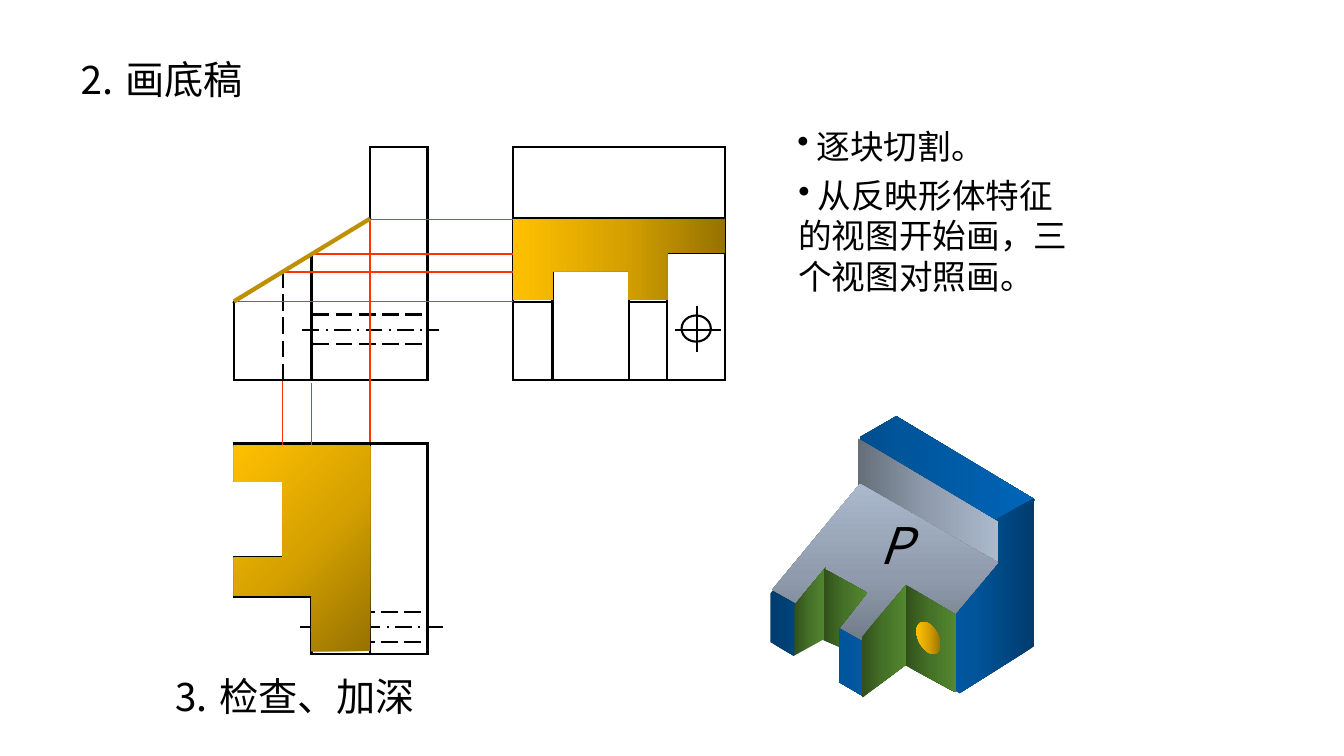
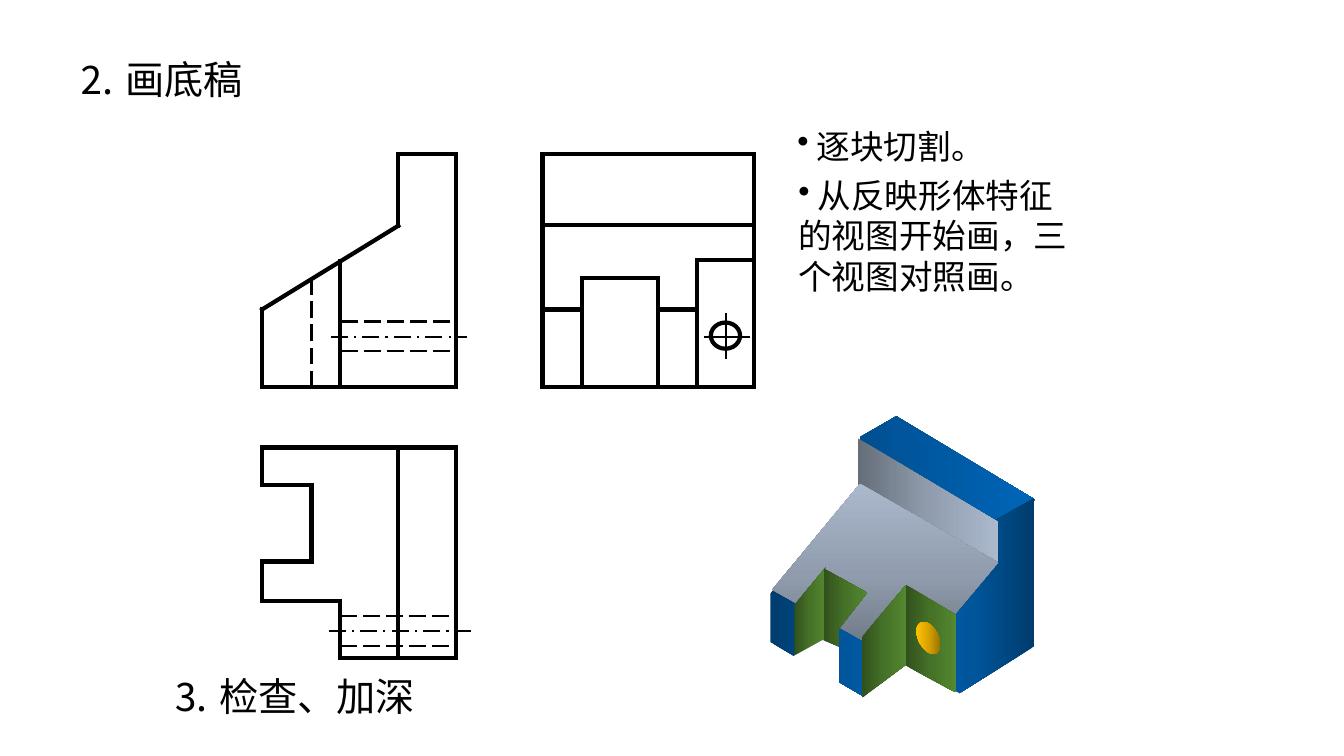
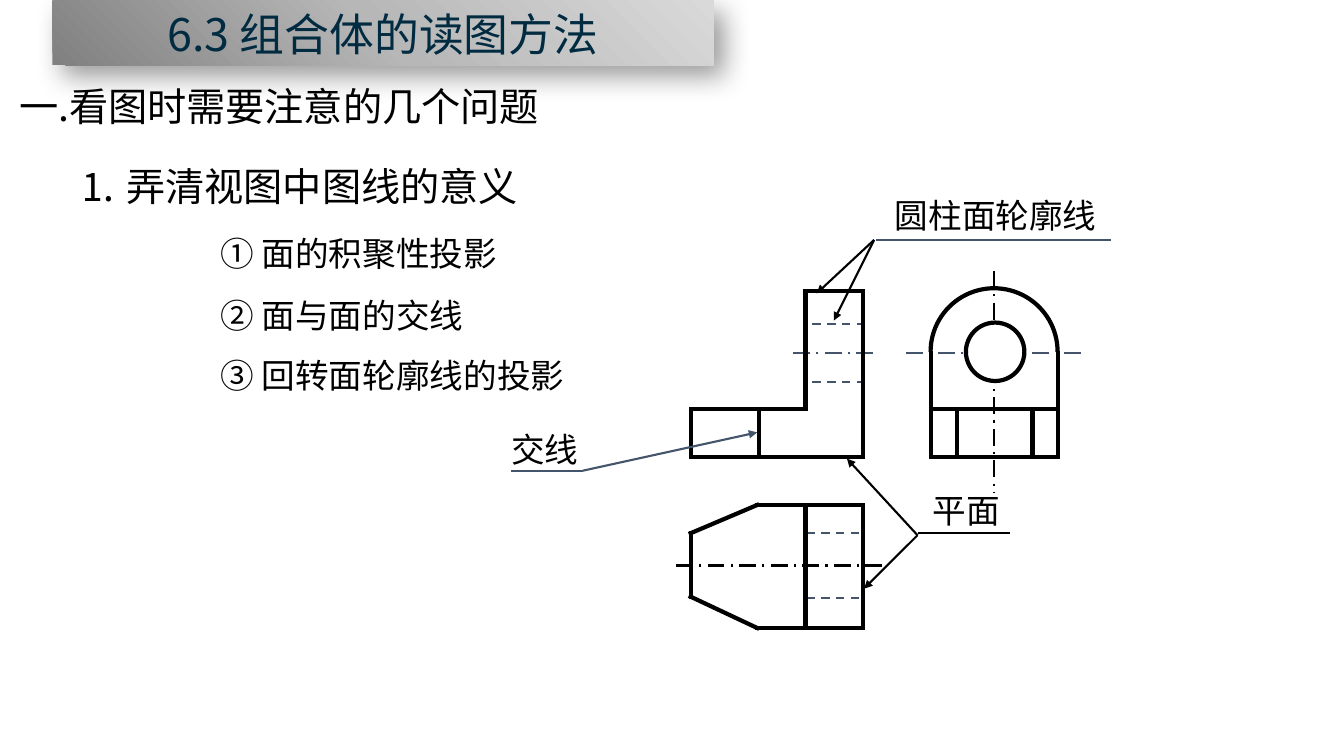
from copy import deepcopy
from itertools import pairwise
from math import cos, pi, sin

from lxml import etree
from pptx import Presentation
from pptx.dml.color import RGBColor
from pptx.enum.dml import MSO_LINE
from pptx.enum.shapes import MSO_CONNECTOR, MSO_SHAPE
from pptx.enum.text import MSO_ANCHOR, PP_ALIGN
from pptx.oxml.ns import qn
from pptx.util import Inches, Pt

STRAIGHT = MSO_CONNECTOR.STRAIGHT
RECTANGLE, OVAL, ARC = MSO_SHAPE.RECTANGLE, MSO_SHAPE.OVAL, MSO_SHAPE.ARC
DASH, LONG_DASH, DASH_DOT = MSO_LINE.DASH, MSO_LINE.LONG_DASH, MSO_LINE.LONG_DASH_DOT
TOP, MIDDLE = MSO_ANCHOR.TOP, MSO_ANCHOR.MIDDLE
LEFT, CENTER = PP_ALIGN.LEFT, PP_ALIGN.CENTER

FONT = "Noto Sans CJK SC"
BLACK = RGBColor(0x00, 0x00, 0x00)
WHITE = RGBColor(0xFF, 0xFF, 0xFF)
NAVY = RGBColor(0x00, 0x2B, 0x41)
SLATE = RGBColor(0x44, 0x54, 0x6A)
RED = RGBColor(0xFF, 0x33, 0x00)
OCHRE = RGBColor(0xBF, 0x90, 0x00)
BLUES = (RGBColor(0x00, 0x3C, 0x6D), RGBColor(0x00, 0x55, 0x9B), RGBColor(0x00, 0x65, 0xB8))
STEELS = (RGBColor(0x65, 0x6E, 0x79), RGBColor(0x90, 0x9C, 0xAD), RGBColor(0xAB, 0xB9, 0xCD))
GREENS = (RGBColor(0x31, 0x50, 0x1C), RGBColor(0x46, 0x72, 0x28), RGBColor(0x53, 0x87, 0x30))
GOLDS = (RGBColor(0x97, 0x72, 0x00), RGBColor(0xD7, 0xA2, 0x00), RGBColor(0xFF, 0xC0, 0x00))
GREYS = (RGBColor(0x80, 0x80, 0x80), RGBColor(0xB7, 0xB7, 0xB7), RGBColor(0xD9, 0xD9, 0xD9))

THIN, FINE, BOLD = 1, 1.5, 3


def fill_gradient(shape, colors, angle):
    shape.fill.gradient()
    shape.fill.gradient_angle = (360 - angle) % 360
    stop_list = shape.element.spPr.find(".//" + qn("a:gsLst"))
    stop_list.insert(1, deepcopy(stop_list[0]))
    for stop, color, position in zip(shape.fill.gradient_stops, colors, (0, 0.5, 1)):
        stop.color.rgb = color
        stop.position = position


def write(frame, text, size=24, color=BLACK, anchor=TOP, align=LEFT, italic=False,
          bullet=None, wrap=True, leading=None):
    frame.word_wrap = wrap
    frame.vertical_anchor = anchor
    paragraph = frame.paragraphs[0]
    paragraph.alignment = align
    if leading:
        paragraph.line_spacing = Pt(leading)
    if bullet:
        properties = paragraph._p.get_or_add_pPr()
        etree.SubElement(properties, qn("a:buChar")).set("char", bullet)
    run = paragraph.add_run()
    run.text = text
    run.font.name = FONT
    run.font.size = Pt(size)
    run.font.italic = italic
    run.font.color.rgb = color
    etree.SubElement(run._r.get_or_add_rPr(), qn("a:ea")).set("typeface", FONT)


def label(slide, text, left, top, width, height, **style):
    box = slide.shapes.add_textbox(Inches(left), Inches(top), Inches(width), Inches(height))
    write(box.text_frame, text, **style)


def stroke(slide, origin, start, end, color=BLACK, weight=FINE, dash=None,
           arrow=False, cap="flat"):
    x, y = origin
    line = slide.shapes.add_connector(
        STRAIGHT, Inches(x + start[0]), Inches(y + start[1]),
        Inches(x + end[0]), Inches(y + end[1]))
    line.line.color.rgb = color
    line.line.width = Pt(weight)
    if dash:
        line.line.dash_style = dash
    properties = line.element.spPr
    outline = properties.find(qn("a:ln"))
    outline.set("cap", cap)
    if arrow:
        etree.SubElement(outline, qn("a:tailEnd")).set("type", "triangle")
    etree.SubElement(properties, qn("a:effectLst"))


def trace(slide, origin, points, weight):
    for start, end in pairwise(points):
        stroke(slide, origin, start, end, weight=weight, cap="sq")


def face(slide, origin, points, colors=None, angle=0):
    x, y = origin
    corners = [(Inches(x + dx), Inches(y + dy)) for dx, dy in points]
    builder = slide.shapes.build_freeform(*corners[0])
    builder.add_line_segments(corners[1:], close=True)
    shape = builder.convert_to_shape()
    shape.shadow.inherit = False
    shape.line.fill.background()
    if colors:
        fill_gradient(shape, colors, angle)
    else:
        shape.fill.solid()
        shape.fill.fore_color.rgb = WHITE


def curve(slide, kind, left, top, width, height, weight, color=None):
    shape = slide.shapes.add_shape(
        kind, Inches(left), Inches(top), Inches(width), Inches(height))
    shape.shadow.inherit = False
    shape.line.color.rgb = BLACK
    shape.line.width = Pt(weight)
    if color:
        shape.fill.solid()
        shape.fill.fore_color.rgb = color
    else:
        shape.fill.background()
    return shape


def block_front_view(slide, origin, weight):
    stroke(slide, origin, (0.68, 1.81), (2.03, 1.81), dash=DASH_DOT)
    stroke(slide, origin, (0.49, 1.23), (0.49, 2.32), dash=LONG_DASH)
    for y in (1.66, 1.95):
        stroke(slide, origin, (0.78, y), (1.91, y), dash=LONG_DASH)
    trace(slide, origin, [(1.35, 0), (1.92, 0), (1.92, 2.31), (0, 2.31), (0, 1.54),
                          (1.35, 0.71), (1.35, 0)], weight)
    trace(slide, origin, [(0.77, 1.06), (0.77, 2.31)], weight)


def block_side_view(slide, origin, weight):
    left, top = origin
    trace(slide, origin, [(0, 0), (2.1, 0), (2.1, 2.31), (0, 2.31), (0, 0)], weight)
    trace(slide, origin, [(0, 0.7), (2.1, 0.7)], weight)
    trace(slide, origin, [(0.39, 2.31), (0.39, 1.23), (1.15, 1.23), (1.15, 2.31)], weight)
    trace(slide, origin, [(1.53, 2.31), (1.53, 1.05), (2.1, 1.05)], weight)
    for x, end in ((0, 0.39), (1.15, 1.53)):
        trace(slide, origin, [(x, 1.54), (end, 1.54)], weight)
    stroke(slide, origin, (1.82, 1.58), (1.82, 2.03))
    stroke(slide, origin, (1.6, 1.81), (2.06, 1.81))
    curve(slide, OVAL, left + 1.67, top + 1.67, 0.29, 0.26, weight)


def block_top_view(slide, origin, weight):
    stroke(slide, origin, (0.66, 1.82), (2.07, 1.82), dash=DASH_DOT)
    for y in (1.67, 1.97):
        stroke(slide, origin, (0.77, y), (1.92, y), dash=LONG_DASH)
    trace(slide, origin, [(0, 0), (1.92, 0), (1.92, 2.09), (0.77, 2.09), (0.77, 1.52),
                          (0, 1.52), (0, 1.13), (0.49, 1.13), (0.49, 0.37), (0, 0.37),
                          (0, 0)], weight)
    trace(slide, origin, [(1.35, 0), (1.35, 2.09)], weight)


def projection_lines(slide, origin):
    for start, end in (
            ((1.35, 0.72), (2.83, 0.72)), ((0, 1.53), (2.77, 1.53)),
            ((1.35, 0.72), (1.35, 2.93)), ((0.48, 2.32), (0.48, 3.3)),
            ((0.48, 1.24), (3.16, 1.24)), ((0.77, 2.34), (0.77, 4.46)),
            ((0.77, 1.06), (4.3, 1.06))):
        stroke(slide, origin, start, end, color=RED, weight=THIN)


def cut_plane(slide, front, side, top):
    face(slide, top, [(0, 0.02), (1.35, 0.02), (1.35, 2.06), (0.77, 2.06), (0.77, 1.51),
                      (0, 1.51), (0, 1.13), (0.48, 1.13), (0.48, 0.38), (0, 0.38)], GOLDS, 225)
    stroke(slide, front, (0, 1.53), (1.35, 0.71), color=OCHRE, weight=BOLD)
    face(slide, side, [(0, 0.71), (2.1, 0.71), (2.1, 1.05), (1.53, 1.05), (1.53, 1.52),
                       (1.14, 1.52), (1.14, 1.23), (0.39, 1.23), (0.39, 1.52), (0, 1.52)],
         GOLDS, 180)


def solid_block(slide, origin):
    hole = []
    for step in range(32):
        turn = step * pi / 16
        hole.append((1.57 - 0.12 * cos(turn), 2.2 - 0.16 * sin(turn + 0.43)))
    for points, colors, angle in (
            ([(1.25, 0), (0, 0.72), (1.39, 1.53), (2.63, 0.83)], BLUES, 0),
            ([(2.62, 0.81), (2.62, 2.28), (1.39, 3.05), (1.39, 1.51)], BLUES, 180),
            ([(0, 0.71), (0, 2.24), (1.39, 3.05), (1.39, 1.53)], BLUES, 0),
            ([(0.89, 0.19), (0.87, 0.7), (-0.02, 1.78), (-0.19, 0.58), (-0.13, 0.35)], None, 0),
            ([(0.87, 0.22), (0.87, 0.68), (2.26, 1.47), (2.26, 1.05)], STEELS, 0),
            ([(0.89, 0.67), (2.26, 1.45), (1.39, 2.49), (0.02, 1.72)], STEELS, 270),
            ([(1.31, 2.45), (2.03, 2.83), (1.27, 3.17), (0.83, 2.87)], None, 0),
            ([(1.34, 1.67), (1.84, 1.97), (1.84, 2.74), (1.34, 2.47)], GREENS, 0),
            ([(0.91, 2.19), (0.91, 2.79), (1.35, 2.46), (1.35, 1.67)], GREENS, 0),
            (hole, GOLDS, 180),
            ([(0.24, 1.87), (0.55, 1.5), (0.55, 2.21), (0.24, 2.39)], GREENS, 0),
            ([(0.52, 2.22), (0.14, 2.43), (0.68, 2.69), (0.68, 2.29)], None, 0),
            ([(0.53, 1.51), (0.96, 1.75), (0.68, 2.11), (0.68, 2.28), (0.53, 2.22)],
             GREENS, 0)):
        face(slide, origin, points, colors, angle)


def drafting_slide(slide, front, side, top, weight, show_cut=False):
    block_front_view(slide, front, weight)
    block_side_view(slide, side, weight)
    block_top_view(slide, top, weight)
    solid_block(slide, (7.64, 4.13))
    if show_cut:
        projection_lines(slide, front)
        cut_plane(slide, front, side, top)
        label(slide, "P", 8.62, 5.05, 0.45, 0.7, size=36, italic=True)
    label(slide, "⒉ 画底稿", 0.67, 0.5, 2.6, 0.57, size=28)
    label(slide, "⒊ 检查、加深", 1.6, 6.62, 3.56, 0.57, size=28)
    label(slide, " 逐块切割。", 7.81, 1.19, 2.87, 0.51,
          anchor=MIDDLE, bullet="•", leading=28.8)
    label(slide, " 从反映形体特征的视图开始画，三个视图对照画。", 7.82, 1.68, 2.87, 1.31,
          anchor=MIDDLE, bullet="•", leading=28.8)


def banner(slide, text, left, top, width, height):
    band = slide.shapes.add_shape(
        RECTANGLE, Inches(left), Inches(top), Inches(width), Inches(height))
    band.shadow.inherit = False
    band.line.fill.background()
    fill_gradient(band, GREYS, 315)
    effects = band.element.spPr.find(qn("a:effectLst"))
    shadow = etree.SubElement(effects, qn("a:outerShdw"), blurRad=str(Pt(20)),
                              dist=str(Pt(10)), dir="2700000", algn="tl", rotWithShape="0")
    shade = etree.SubElement(shadow, qn("a:srgbClr"), val="000000")
    etree.SubElement(shade, qn("a:alpha"), val="40000")
    write(band.text_frame, text, size=32, color=NAVY, anchor=MIDDLE, align=CENTER)


def bracket_front_view(slide, origin):
    stroke(slide, origin, (1.81, 0.61), (0.98, 0.61), color=SLATE, dash=DASH_DOT)
    for y in (0.32, 0.9):
        stroke(slide, origin, (1.73, y), (1.14, y), color=SLATE, dash=DASH)
    trace(slide, origin, [(0, 1.17), (1.14, 1.17), (1.14, 0), (1.71, 0), (1.71, 1.64),
                          (0, 1.64), (0, 1.17)], BOLD)
    trace(slide, origin, [(0.68, 1.17), (0.68, 1.64)], BOLD)


def bracket_side_view(slide, origin):
    left, top = origin
    stroke(slide, origin, (0.63, -0.17), (0.63, 2.03), dash=DASH_DOT)
    stroke(slide, origin, (1.49, 0.64), (-0.28, 0.64), color=SLATE, dash=DASH_DOT)
    trace(slide, origin, [(0, 0.64), (0, 1.67), (1.26, 1.67), (1.26, 0.64)], BOLD)
    trace(slide, origin, [(0, 1.2), (1.26, 1.2)], BOLD)
    for x in (0.26, 1.01):
        trace(slide, origin, [(x, 1.2), (x, 1.67)], BOLD)
    arch = curve(slide, ARC, left, top, 1.26, 1.26, BOLD)
    arch.adjustments[0] = 108
    arch.adjustments[1] = 0
    curve(slide, OVAL, left + 0.35, top + 0.34, 0.58, 0.58, BOLD, WHITE)


def bracket_top_view(slide, origin):
    stroke(slide, origin, (1.9, 0.6), (-0.18, 0.6), dash=DASH_DOT)
    for y in (0.28, 0.92):
        stroke(slide, origin, (1.15, y), (1.68, y), color=SLATE, dash=DASH)
    trace(slide, origin, [(0, 0.28), (0.66, 0), (1.71, 0), (1.71, 1.22), (0.66, 1.22),
                          (0, 0.91), (0, 0.28)], BOLD)
    trace(slide, origin, [(1.14, 0), (1.14, 1.22)], BOLD)


def callout(slide, text, box, underline, knee, targets, rule_color=BLACK, leader_color=BLACK):
    label(slide, text, *box, anchor=MIDDLE, align=CENTER, wrap=False)
    stroke(slide, (0, 0), *underline, color=rule_color)
    for target in targets:
        stroke(slide, (0, 0), knee, target, color=leader_color, arrow=True)


def reading_slide(slide):
    banner(slide, "6.3 组合体的读图方法", 0.52, 0.01, 6.56, 0.64)
    label(slide, "一.看图时需要注意的几个问题", 0.09, 0.77, 7.95, 0.57, size=28)
    label(slide, "⒈ 弄清视图中图线的意义", 0.68, 1.56, 6.23, 0.57, size=28, anchor=MIDDLE)
    for text, top in (("① 面的积聚性投影", 2.26), ("② 面与面的交线", 2.88),
                      ("③ 回转面轮廓线的投影", 3.47)):
        label(slide, text, 2.09, top, 5.08, 0.5, anchor=MIDDLE)
    bracket_front_view(slide, (6.85, 2.89))
    bracket_side_view(slide, (9.23, 2.86))
    bracket_top_view(slide, (6.85, 5.01))
    callout(slide, "交线", (4.97, 4.21, 0.87, 0.5), ((5.07, 4.67), (5.78, 4.67)),
            (5.78, 4.67), [(7.51, 4.29)], SLATE, SLATE)
    callout(slide, "圆柱面轮廓线", (8.77, 1.88, 2.21, 0.5), ((8.69, 2.38), (11.02, 2.38)),
            (8.67, 2.38), [(8.1, 2.91), (8.27, 3.18)], SLATE)
    callout(slide, "平面", (9.15, 4.81, 0.87, 0.5), ((9.1, 5.29), (10.02, 5.29)),
            (9.1, 5.31), [(8.57, 5.84), (8.4, 4.55)])


def main():
    deck = Presentation()
    deck.slide_width, deck.slide_height = Inches(13.33), Inches(7.5)
    blank = deck.slide_layouts[6]
    drafting_slide(deck.slides.add_slide(blank), (2.32, 1.46), (5.09, 1.46), (2.32, 4.4),
                   FINE, show_cut=True)
    drafting_slide(deck.slides.add_slide(blank), (2.6, 1.53), (5.38, 1.53), (2.6, 4.44), BOLD)
    reading_slide(deck.slides.add_slide(blank))
    deck.save("out.pptx")


if __name__ == "__main__":
    main()
